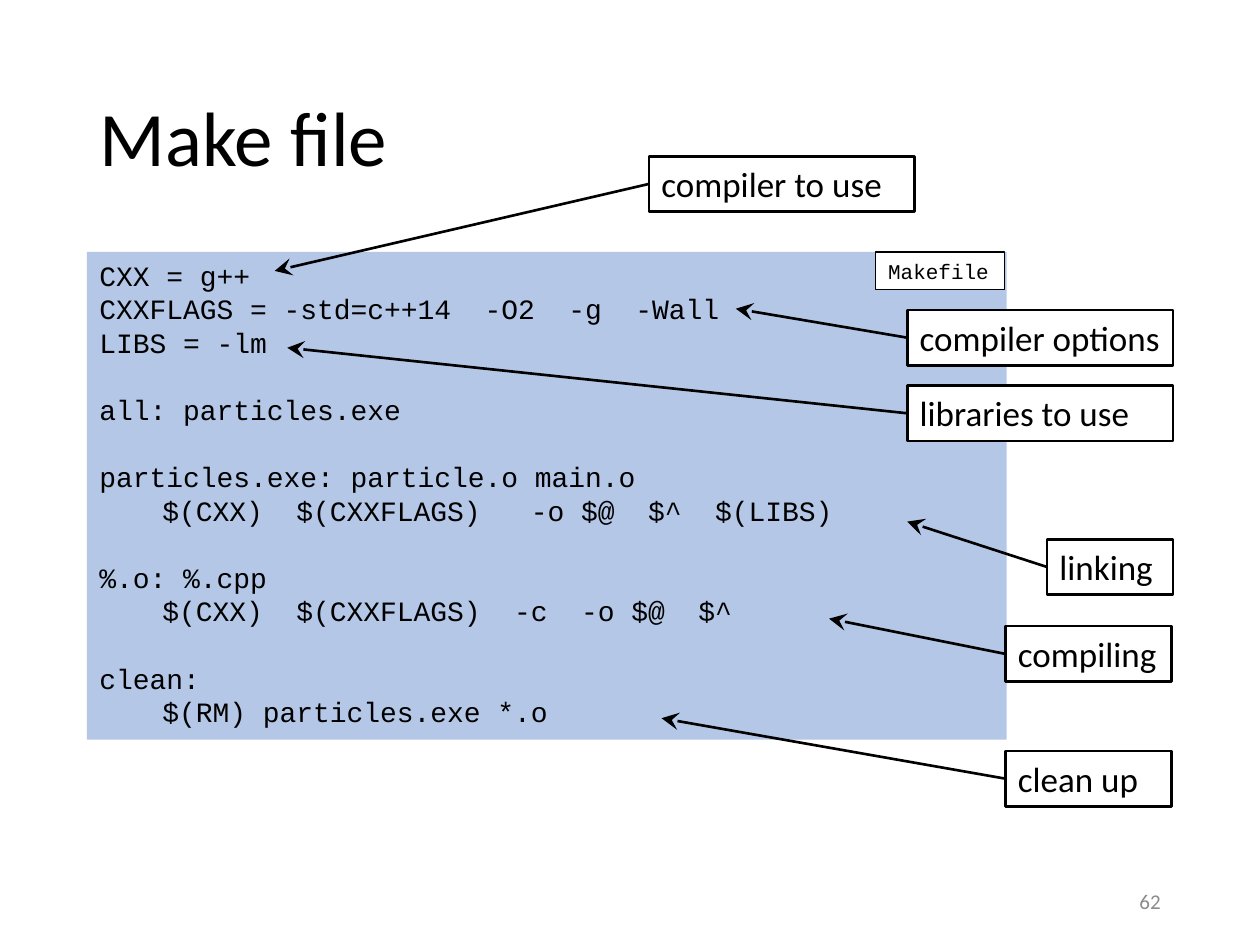
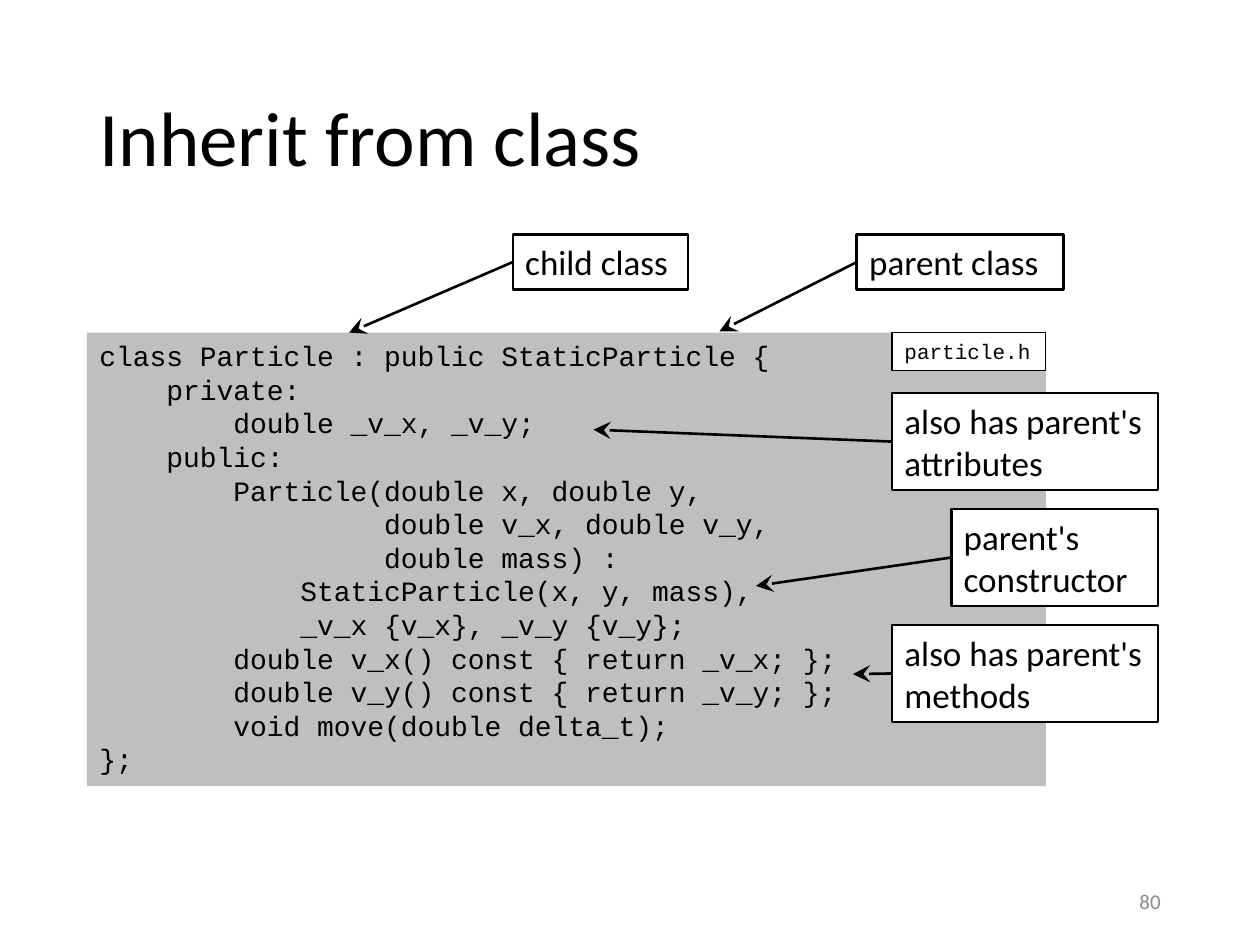
from dataclasses import dataclass

from lxml import etree
from pptx import Presentation
from pptx import util as u
from pptx.dml.color import RGBColor
from pptx.enum import shapes, text
from pptx.oxml.ns import qn

WIDTH, HEIGHT = u.Inches(10), u.Inches(7.5)
COLUMN, ROW = WIDTH / 100, HEIGHT / 75
COLORS = {"ink": "000000", "paper": "FFFFFF", "number": "8C8C8C",
          "build": "B4C7E7", "source": "BFBFBF"}
BODY, CODE = "Calibri", "Courier New"
LEFT_MARGIN = 6.9
CODE_LINE = u.Pt(19.2)
LEFT_SIDE = 1


@dataclass(frozen=True)
class Area:
    """A rectangle in grid columns and rows."""
    column: float
    row: float
    columns: float
    rows: float

    def lengths(self) -> tuple[int, int, int, int]:
        return (round(self.column * COLUMN), round(self.row * ROW),
                round(self.columns * COLUMN), round(self.rows * ROW))


@dataclass(frozen=True)
class Style:
    size: float
    font: str = BODY
    color: str = "ink"
    align: text.PP_ALIGN = text.PP_ALIGN.LEFT
    spacing: float = 1.0


@dataclass(frozen=True)
class Callout:
    """A label whose arrow runs from its left side to a grid point."""
    words: str
    column: float
    row: float
    columns: float
    target: tuple[float, float]
    lines: int = 1

    def area(self) -> Area:
        return Area(self.column, self.row, self.columns, 1.1 + 3.3 * self.lines)


@dataclass(frozen=True)
class Listing:
    file_name: str
    tag: Area
    area: Area
    fill: str
    code: str


@dataclass(frozen=True)
class Page:
    title: str
    number: int
    listing: Listing
    callouts: tuple[Callout, ...]


TITLE_AREA = Area(LEFT_MARGIN, 4, 86.2, 14.5)
NUMBER_AREA = Area(70.6, 69.5, 22.5, 4)
TITLE = Style(44, spacing=0.9)
NUMBER = Style(12, color="number", align=text.PP_ALIGN.RIGHT)
LABEL = Style(20)
CODE_TEXT = Style(16, CODE)
TAG = Style(12, CODE)

MAKEFILE = """\
CXX = g++
CXXFLAGS = -std=c++14  -O2  -g  -Wall
LIBS = -lm

all: particles.exe

particles.exe: particle.o main.o
\t$(CXX)  $(CXXFLAGS)   -o $@  $^  $(LIBS)

%.o: %.cpp
\t$(CXX)  $(CXXFLAGS)  -c  -o $@  $^

clean:
\t$(RM) particles.exe *.o"""

PARTICLE_HEADER = """\
class Particle : public StaticParticle {
    private:
        double _v_x, _v_y;
    public:
        Particle(double x, double y,
                 double v_x, double v_y,
                 double mass) :
            StaticParticle(x, y, mass),
            _v_x {v_x}, _v_y {v_y};
        double v_x() const { return _v_x; };
        double v_y() const { return _v_y; };
        void move(double delta_t);
};"""

PAGES = (
    Page("Make file", 62,
         Listing("Makefile", Area(69.5, 20, 10.2, 3),
                 Area(LEFT_MARGIN, 20, 73, 38.7), "build", MAKEFILE),
         (Callout("compiler to use", 51.5, 12.4, 21.1, (21.8, 21.5)),
          Callout("compiler options", 72, 24.6, 21.1, (58.4, 24.5)),
          Callout("libraries to use", 72, 30.6, 21.1, (22.8, 27.6)),
          Callout("linking", 83.1, 42.8, 10, (72, 41.4)),
          Callout("compiling", 79.8, 49.7, 13.2, (65.8, 49.1)),
          Callout("clean up", 79.8, 59.6, 13.2, (52.5, 57)))),
    Page("Inherit from class", 80,
         Listing("particle.h", Area(70.8, 26.4, 12.2, 3),
                 Area(LEFT_MARGIN, 26.4, 76.1, 36), "source", PARTICLE_HEADER),
         (Callout("parent class", 68, 18.6, 16.4, (57.1, 26.3)),
          Callout("child class", 40.7, 18.6, 13.9, (27.7, 26.4)),
          Callout("also has parent's attributes", 70.8, 31.2, 21.1, (47.1, 34.1), 2),
          Callout("parent's constructor", 75.5, 40.4, 16.4, (60, 46.5), 2),
          Callout("also has parent's methods", 70.8, 49.6, 21.1, (67.7, 53.5), 2))),
)


def color(name: str) -> RGBColor:
    return RGBColor.from_string(COLORS[name])


def write(frame, words: str, style: Style) -> None:
    """Write one paragraph a line; an empty line becomes space before the next."""
    para, gap = frame.paragraphs[0], 0
    for index, line in enumerate(words.split("\n")):
        if not line:
            gap += CODE_LINE
            continue
        if index:
            para = frame.add_paragraph()
        para.alignment = style.align
        para.line_spacing = style.spacing
        if gap:
            para.space_before, gap = gap, 0
        span = para.add_run()
        span.text = line
        span.font.name = style.font
        span.font.size = u.Pt(style.size)
        span.font.color.rgb = color(style.color)


def add_text(slide, area: Area, words: str, style: Style) -> None:
    frame = slide.shapes.add_textbox(*area.lengths()).text_frame
    frame.word_wrap = True
    frame.vertical_anchor = text.MSO_ANCHOR.MIDDLE
    write(frame, words, style)


def add_box(slide, area: Area, words: str, style: Style, fill: str = "paper",
            line_width: float = 0, wrap: bool = True):
    box = slide.shapes.add_shape(shapes.MSO_SHAPE.RECTANGLE, *area.lengths())
    box.shadow.inherit = False
    box.fill.solid()
    box.fill.fore_color.rgb = color(fill)
    if line_width:
        box.line.color.rgb = color("ink")
        box.line.width = u.Pt(line_width)
    else:
        box.line.fill.background()
    frame = box.text_frame
    frame.word_wrap = wrap
    frame.auto_size = text.MSO_AUTO_SIZE.SHAPE_TO_FIT_TEXT
    frame.vertical_anchor = text.MSO_ANCHOR.TOP
    write(frame, words, style)
    return box


def add_callout(slide, callout: Callout) -> None:
    box = add_box(slide, callout.area(), callout.words, LABEL, line_width=1.5)
    column, row = callout.target
    arrow = slide.shapes.add_connector(
        shapes.MSO_CONNECTOR.STRAIGHT, box.left, box.top + box.height // 2,
        round(column * COLUMN), round(row * ROW))
    arrow.begin_connect(box, LEFT_SIDE)
    arrow.line.color.rgb = color("ink")
    arrow.line.width = u.Pt(1.5)
    properties = arrow._element.spPr
    etree.SubElement(properties.find(qn("a:ln")), qn("a:tailEnd"),
                     type="stealth", w="lg", len="lg")
    etree.SubElement(properties, qn("a:effectLst"))


def add_page(deck, page: Page) -> None:
    slide = deck.slides.add_slide(deck.slide_layouts[6])
    add_text(slide, TITLE_AREA, page.title, TITLE)
    add_text(slide, NUMBER_AREA, str(page.number), NUMBER)
    listing = page.listing
    add_box(slide, listing.area, listing.code, CODE_TEXT, listing.fill)
    add_box(slide, listing.tag, listing.file_name, TAG, line_width=0.75, wrap=False)
    for callout in page.callouts:
        add_callout(slide, callout)


def main() -> None:
    deck = Presentation()
    deck.slide_width, deck.slide_height = WIDTH, HEIGHT
    for page in PAGES:
        add_page(deck, page)
    deck.save("out.pptx")


if __name__ == "__main__":
    main()
